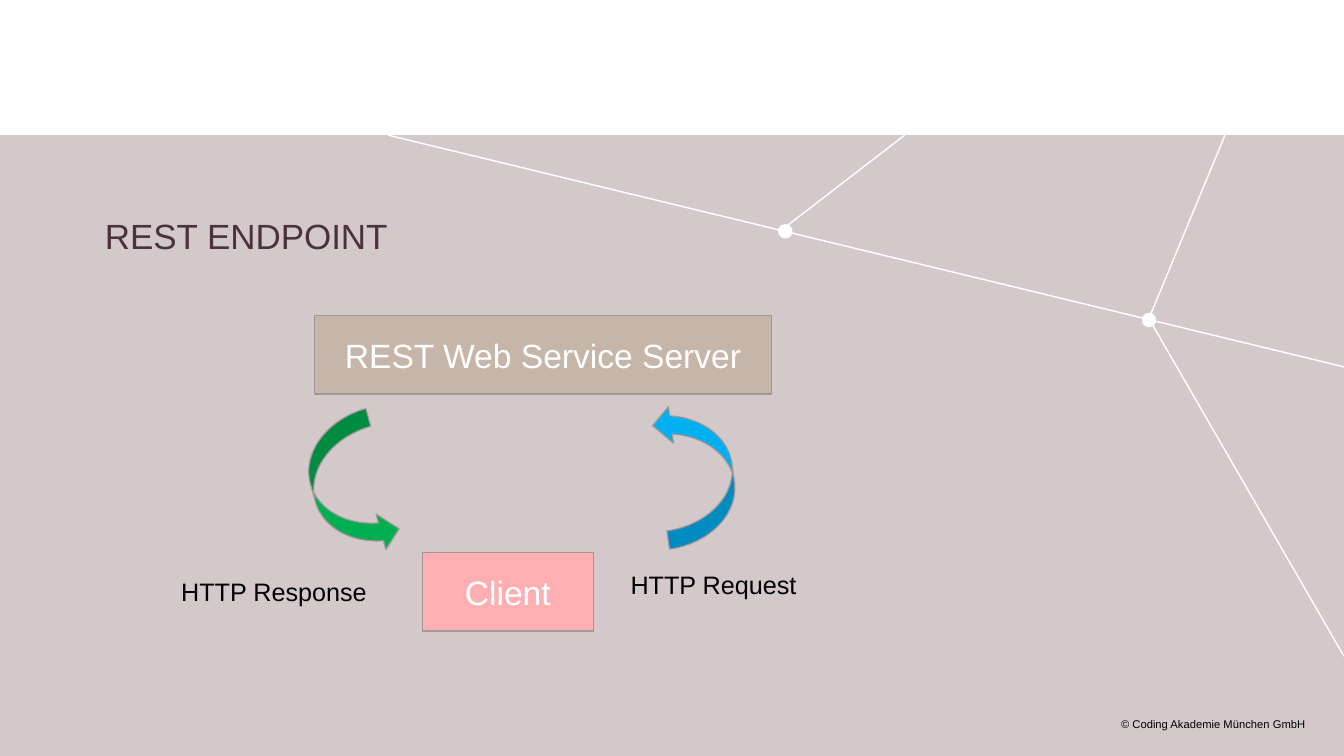
import pptx
import pptx.util
import pptx.dml.color
import pptx.enum.shapes
import pptx.enum.text
import lxml.etree

SHAPE = pptx.enum.shapes.MSO_SHAPE
ALIGN = pptx.enum.text.PP_ALIGN
ANCHOR = pptx.enum.text.MSO_ANCHOR
Pt = pptx.util.Pt

# Content: positions are percent of slide width and height
BAND_TOP = 17.87
NODES = [(58.43, 30.6), (85.5, 42.33)]
NETWORK = [
    ((28.86, BAND_TOP), (100, 48.53)),
    ((67.32, BAND_TOP), (58.17, 30.4)),
    ((85.61, 42.53), (100, 86.8)),
    ((85.46, 42.27), (91.15, BAND_TOP)),
]
TITLE = ("REST ENDPOINT", (7.8, 28.4, 84.11, 5.6))
COPYRIGHT = ("© Coding Akademie München GmbH", (67.69, 95.07, 29.46, 1.73))
PARTIES = [
    ("REST Web Service Server", "server", (23.39, 41.73, 34.03, 10.4)),
    ("Client", "client", (31.41, 73.07, 12.74, 10.4)),
]
# Message label, its area, arrow corner, arrow rotation, arrow colour
MESSAGES = [
    ("HTTP Request", (46.18, 74.67, 14.62, 5.33), (46.48, 57.73), 262.2, "request"),
    ("HTTP Response", (12.74, 75.6, 16.57, 5.33), (20.69, 59.6), 74.5, "response"),
]
ARROW_SIZE = (10.64, 9.73)

THEME = {
    "font": "Arial",
    "color": {
        "band": "D3C9CB", "white": "FFFFFF", "title": "4B323E", "text": "000000",
        "outline": "A1989B", "server": "C6B6A9", "client": "FFAFB1",
        "request": "00B0F0", "response": "00B050",
    },
    "size": {"title": 25, "party": 24, "label": 18, "copyright": 8},
}

deck = pptx.Presentation()
deck.slide_width = pptx.util.Inches(13.34)
deck.slide_height = pptx.util.Inches(7.5)
slide = deck.slides.add_slide(deck.slide_layouts[6])
NODE_SIZE = pptx.util.Inches(0.13)


def color(name):
    return pptx.dml.color.RGBColor.from_string(THEME["color"][name])


def place(*shares):
    """Turn alternating horizontal and vertical shares into lengths."""
    sides = (deck.slide_width, deck.slide_height)
    return [round(share * sides[i % 2] / 100) for i, share in enumerate(shares)]


def add_shape(kind, box, fill, outline=None, width=0.85):
    shape = slide.shapes.add_shape(kind, *box)
    shape.shadow.inherit = False
    shape.fill.solid()
    shape.fill.fore_color.rgb = color(fill)
    if outline:
        shape.line.color.rgb = color(outline)
        shape.line.width = Pt(width)
    else:
        shape.line.fill.background()
    return shape


def write(shape, text, size, ink, align=ALIGN.LEFT, anchor=ANCHOR.TOP, inset=True):
    frame = shape.text_frame
    frame.word_wrap = True
    frame.vertical_anchor = anchor
    if not inset:
        frame.margin_left = frame.margin_right = frame.margin_top = frame.margin_bottom = 0
    paragraph = frame.paragraphs[0]
    paragraph.text = text
    paragraph.alignment = align
    paragraph.font.name = THEME["font"]
    paragraph.font.size = Pt(THEME["size"][size])
    paragraph.font.color.rgb = color(ink)
    return paragraph


# Background band with its network
add_shape(SHAPE.RECTANGLE, place(0, BAND_TOP, 100, 100 - BAND_TOP), "band")
for center in NODES:
    corner = [middle - NODE_SIZE // 2 for middle in place(*center)]
    add_shape(SHAPE.OVAL, (*corner, NODE_SIZE, NODE_SIZE), "white", "white", 1)
for start, end in NETWORK:
    link = slide.shapes.add_connector(
        pptx.enum.shapes.MSO_CONNECTOR.STRAIGHT, *place(*start, *end))
    link.line.color.rgb = color("white")
    link.line.width = Pt(1)
    lxml.etree.SubElement(link._element.spPr, pptx.oxml.ns.qn("a:effectLst"))

# Title and copyright line
heading, area = TITLE
write(slide.shapes.add_textbox(*place(*area)), heading, "title", "title", inset=False)
notice, area = COPYRIGHT
footer = write(slide.shapes.add_textbox(*place(*area)), notice, "copyright", "text",
               ALIGN.RIGHT, ANCHOR.MIDDLE, inset=False)
footer.line_spacing = 0.93

# Server and client
for party, fill, area in PARTIES:
    write(add_shape(SHAPE.RECTANGLE, place(*area), fill, "outline"),
          party, "party", "white", ALIGN.CENTER, ANCHOR.MIDDLE)

# Messages between them
for message, area, corner, rotation, fill in MESSAGES:
    arrow = add_shape(SHAPE.CURVED_UP_ARROW, place(*corner, *ARROW_SIZE), fill, "outline")
    arrow.rotation = rotation
    write(slide.shapes.add_textbox(*place(*area)), message, "label", "text")

deck.save("out.pptx")
